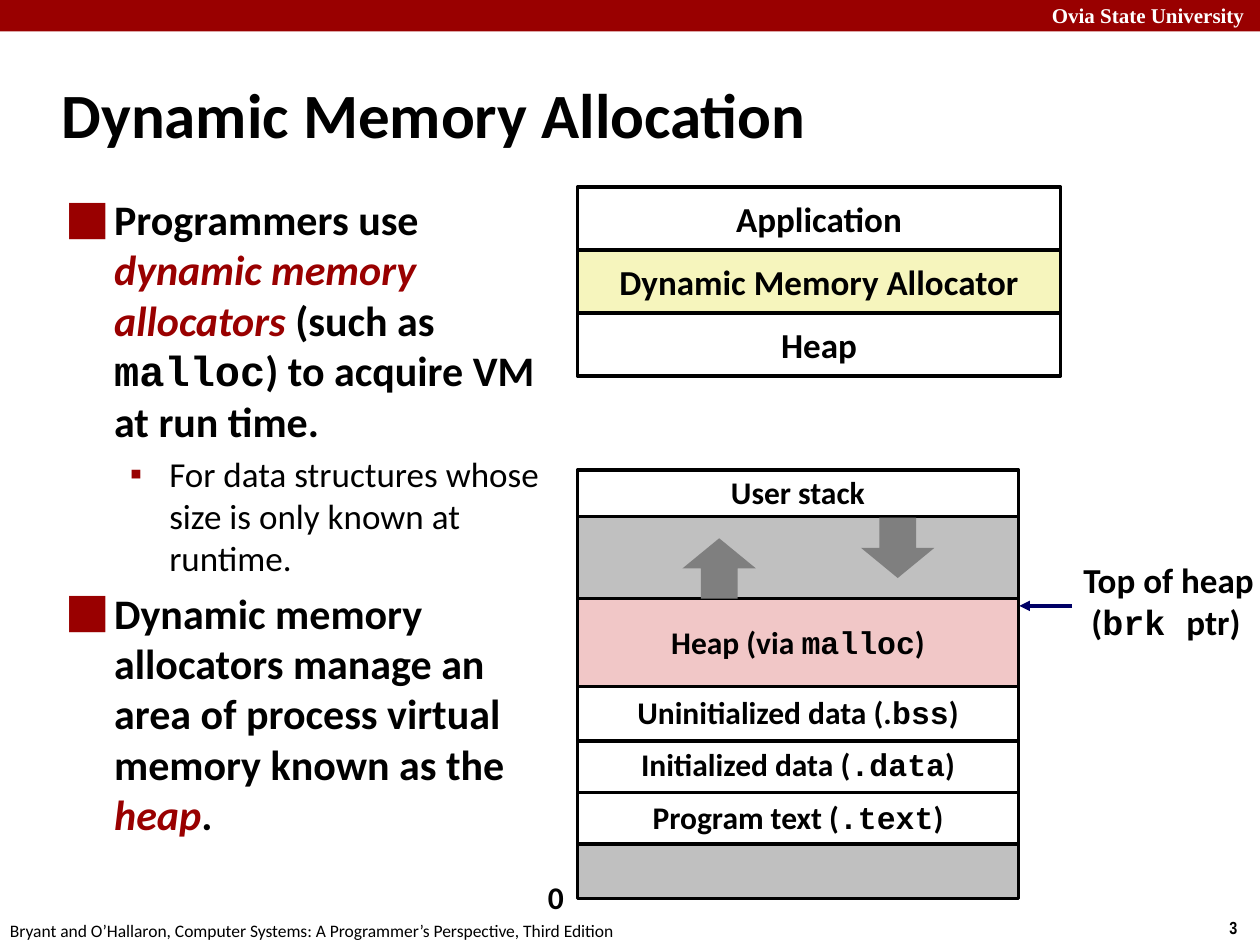
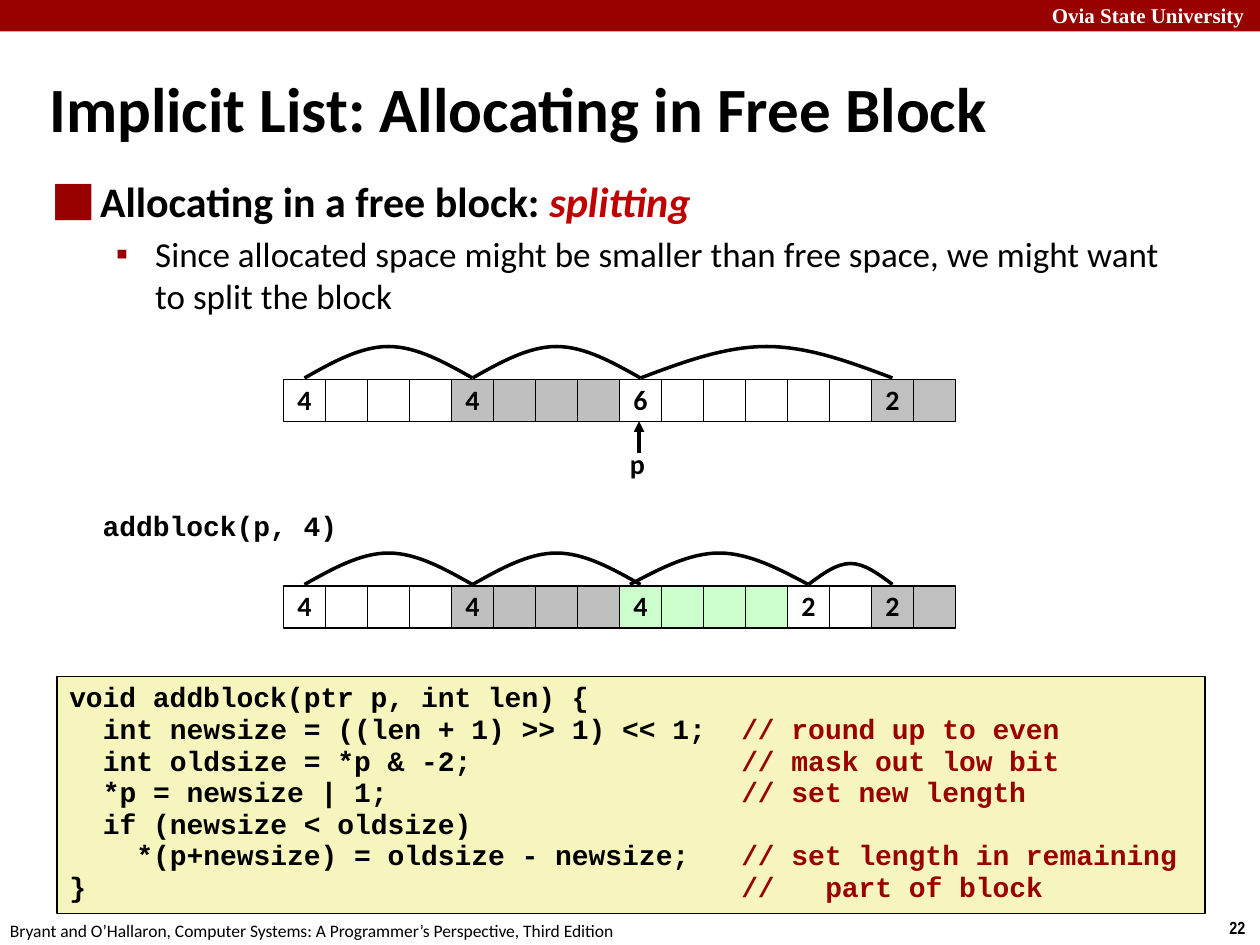
from dataclasses import dataclass

from lxml import etree
from pptx import Presentation
from pptx.dml.color import RGBColor
from pptx.enum.shapes import MSO_CONNECTOR, MSO_SHAPE
from pptx.enum.text import MSO_ANCHOR, MSO_AUTO_SIZE, PP_ALIGN
from pptx.oxml.ns import qn
from pptx.util import Pt

RECTANGLE = MSO_SHAPE.RECTANGLE
UP_ARROW, DOWN_ARROW = MSO_SHAPE.UP_ARROW, MSO_SHAPE.DOWN_ARROW
STRAIGHT = MSO_CONNECTOR.STRAIGHT
TOP, MIDDLE = MSO_ANCHOR.TOP, MSO_ANCHOR.MIDDLE
FIT_SHAPE, FIXED = MSO_AUTO_SIZE.SHAPE_TO_FIT_TEXT, MSO_AUTO_SIZE.NONE
LEFT, CENTER = PP_ALIGN.LEFT, PP_ALIGN.CENTER

COLORS = {
    "black": "000000", "white": "FFFFFF", "crimson": "990000", "red": "C00000",
    "silver": "C0C0C0", "gray": "BFBFBF", "arrow": "7F7F7F", "navy": "000066",
    "pink": "F1C7C7", "cream": "F6F5BD", "green": "CCFFCC",
}
SANS, MONO, SERIF, NARROW = "Calibri", "Courier New", "Times New Roman", "Arial Narrow"
SOURCE = "Bryant and O’Hallaron, Computer Systems: A Programmer’s Perspective, Third Edition"

CELL = 24
ROW_LEFT = 162
CODE_SIZE = 16
CODE_CHAR = 0.6 * CODE_SIZE


@dataclass
class Span:
    text: str
    font: str = SANS
    color: str = "black"
    italic: bool = False


@dataclass
class Bullet:
    spans: list[Span]
    level: int = 0
    space_before: float = 0


@dataclass
class BulletStyle:
    size: float
    bold: bool
    margin: float
    hanging: float
    mark: str


@dataclass
class Region:
    spans: list[Span]
    top: float
    height: float
    fill: str = "white"


@dataclass
class Block:
    size: int
    fill: str
    arc_shift: float = 0


@dataclass
class CodeLine:
    code: str
    comment: str = ""
    depth: int = 0
    comment_indent: int = 0


BULLET_STYLES = [BulletStyle(24, True, 27, 27, "⬛"), BulletStyle(20, False, 58.5, 22.5, "▪")]

REGIONS = [
    Region([], 293.8, 48.2, "silver"),
    Region([Span("Heap (via "), Span("malloc", MONO), Span(")")], 342, 51.8, "pink"),
    Region([Span("Program text ("), Span(".text", MONO), Span(")")], 452.2, 31),
    Region([Span("Initialized data ("), Span(".data", MONO), Span(")")], 422, 31),
    Region([Span("Uninitialized data (."), Span("bss", MONO), Span(")")], 392.4, 31),
    Region([Span("User stack")], 268.5, 26.6),
    Region([], 482.4, 31, "silver"),
]

CODE = [
    CodeLine("void addblock(ptr p, int len) {"),
    CodeLine("int newsize = ((len + 1) >> 1) << 1;", "round up to even", 1),
    CodeLine("int oldsize = *p & -2;", "mask out low bit", 1),
    CodeLine("*p = newsize | 1;", "set new length", 1),
    CodeLine("if (newsize < oldsize)", depth=1),
    CodeLine("*(p+newsize) = oldsize - newsize;", "set length in remaining", 2),
    CodeLine("}", "part of block", comment_indent=5),
]


def rgb(name: str) -> RGBColor:
    return RGBColor.from_string(COLORS[name])


def set_attributes(target, values: dict) -> None:
    for name, value in values.items():
        setattr(target, name, value)


def add_spans(para, spans: list[Span], size: float, bold: bool = True) -> None:
    for span in spans:
        run = para.add_run()
        run.text = span.text
        set_attributes(run.font, {"name": span.font, "size": Pt(size),
                                  "bold": bold, "italic": span.italic})
        run.font.color.rgb = rgb(span.color)


def add_lines(frame, lines: list[list[Span]], size: float, spacing: float = 1,
              align=LEFT, bold: bool = True) -> None:
    for index, spans in enumerate(lines):
        para = frame.add_paragraph() if index else frame.paragraphs[0]
        set_attributes(para, {"alignment": align, "line_spacing": spacing})
        add_spans(para, spans, size, bold)


def add_label(page, at: tuple, lines: list[list[Span]], size: float,
              spacing: float = 0.98, bold: bool = True) -> None:
    frame = page.shapes.add_textbox(*map(Pt, at)).text_frame
    set_attributes(frame, {"word_wrap": False, "auto_size": FIT_SHAPE})
    add_lines(frame, lines, size, spacing, bold=bold)


def add_box(page, at: tuple, fill: str, line: float = 0, kind=RECTANGLE):
    box = page.shapes.add_shape(kind, *map(Pt, at))
    box.shadow.inherit = False
    box.fill.solid()
    box.fill.fore_color.rgb = rgb(fill)
    if line:
        box.line.color.rgb = rgb("black")
        box.line.width = Pt(line)
    else:
        box.line.fill.background()
    return box


def add_text_box(page, at: tuple, fill: str, line: float, spans: list[Span],
                 size: float, spacing: float = 0.98) -> None:
    box = add_box(page, at, fill, line)
    if spans:
        set_attributes(box.text_frame, {"word_wrap": True, "vertical_anchor": MIDDLE})
        add_lines(box.text_frame, [spans], size, spacing, CENTER)


def add_arrow(page, start: tuple, end: tuple, color: str) -> None:
    arrow = page.shapes.add_connector(STRAIGHT, *map(Pt, start + end))
    arrow.line.color.rgb = rgb(color)
    arrow.line.width = Pt(2)
    properties = arrow.element.spPr
    etree.SubElement(properties.find(qn("a:ln")), qn("a:tailEnd"), type="triangle")
    etree.SubElement(properties, qn("a:effectLst"))


def add_arc(page, left: float, right: float, base: float) -> None:
    """Draw a bell of two Bézier curves from left to right."""
    span = right - left
    height = min(18, span / 4)
    rises = [0.5, 1, 1, 1, 0.5, 0]
    points = [(Pt(left + span * step / 6), Pt(base - height * rise))
              for step, rise in enumerate(rises, 1)]
    builder = page.shapes.build_freeform(Pt(left), Pt(base))
    builder.add_line_segments(points, close=False)
    arc = builder.convert_to_shape()
    arc.shadow.inherit = False
    arc.fill.background()
    arc.line.color.rgb = rgb("black")
    arc.line.width = Pt(2)
    path = next(arc.element.iter(qn("a:path")))
    segments = path.findall(qn("a:lnTo"))
    for first in (0, 3):
        curve = etree.SubElement(path, qn("a:cubicBezTo"))
        for segment in segments[first:first + 3]:
            curve.append(segment[0])
            path.remove(segment)


def add_block_row(page, top: float, arc_base: float, blocks: list[Block]) -> None:
    left = ROW_LEFT
    for index, block in enumerate(blocks):
        for cell in range(block.size):
            spans = [] if cell else [Span(str(block.size))]
            add_text_box(page, (left + cell * CELL, top, CELL, CELL),
                         block.fill, 0.75, spans, 16)
        header = left + CELL / 2
        left += block.size * CELL
        if index < len(blocks) - 1:
            add_arc(page, header + block.arc_shift, left + CELL / 2, arc_base)


def add_code(page, at: tuple, lines: list[CodeLine]) -> None:
    """Draw a listing whose indents and comments sit on tab stops."""
    frame = add_box(page, at, "cream", 1).text_frame
    set_attributes(frame, {"word_wrap": True, "vertical_anchor": TOP})
    texts = []
    for line in lines:
        spans = [Span(("\t" if line.depth else "") + line.code, MONO)]
        if line.comment:
            gap = "\t" if line.comment_indent else " "
            spans.append(Span(f"\t//{gap}{line.comment}", MONO, "crimson"))
        texts.append(spans)
    add_lines(frame, texts, CODE_SIZE, 0.94)
    for para, line in zip(frame.paragraphs, lines):
        columns = [2 * line.depth, 40, 40 + line.comment_indent]
        tabs = etree.SubElement(para._p.get_or_add_pPr(), qn("a:tabLst"))
        for column in sorted(set(columns) - {0}):
            etree.SubElement(tabs, qn("a:tab"), pos=str(Pt(column * CODE_CHAR)), algn="l")


def set_indent(para, margin: float, hanging: float):
    properties = para._p.get_or_add_pPr()
    properties.set("marL", str(Pt(margin)))
    properties.set("indent", str(Pt(-hanging)))
    return properties


def place(holder, at: tuple, anchor) -> None:
    set_attributes(holder, dict(zip(("left", "top", "width", "height"), map(Pt, at))))
    set_attributes(holder.text_frame, {"word_wrap": True, "auto_size": FIXED,
                                       "vertical_anchor": anchor})


def fill_body(holder, at: tuple, bullets: list[Bullet]) -> None:
    place(holder, at, TOP)
    frame = holder.text_frame
    for index, bullet in enumerate(bullets):
        style = BULLET_STYLES[bullet.level]
        para = frame.add_paragraph() if index else frame.paragraphs[0]
        set_attributes(para, {"level": bullet.level, "alignment": LEFT,
                              "line_spacing": 1.0, "space_before": Pt(bullet.space_before)})
        properties = set_indent(para, style.margin, style.hanging)
        color = etree.SubElement(properties, qn("a:buClr"))
        etree.SubElement(color, qn("a:srgbClr"), val=COLORS["crimson"])
        etree.SubElement(properties, qn("a:buChar"), char=style.mark)
        add_spans(para, bullet.spans, style.size, style.bold)


def start_page(deck, number: int, title: str, title_at: tuple,
               body_at: tuple, bullets: list[Bullet]):
    """Add a page with its band, footers, title and bullet list."""
    page = deck.slides.add_slide(deck.slide_layouts[1])
    add_box(page, (0, 0, 720, 18), "crimson")
    add_label(page, (594, -2, 131, 21.6), [[Span("Ovia State University", SERIF, "white")]], 12, 1)
    add_label(page, (695.5, 520.6, 24.5, 19.4), [[Span(str(number), NARROW)]], 10, 1)
    add_label(page, (-1.4, 522, 365.8, 19.4), [[Span(SOURCE)]], 10, 1, bold=False)
    heading = page.shapes.title
    place(heading, title_at, MIDDLE)
    add_lines(heading.text_frame, [[Span(title)]], 36)
    set_indent(heading.text_frame.paragraphs[0], 9, 9)
    fill_body(page.placeholders[1], body_at, bullets)
    return page


def build_allocation_page(deck) -> None:
    page = start_page(
        deck, 3, "Dynamic Memory Allocation", (28, 34.5, 598, 60), (31, 107, 298, 392), [
            Bullet([Span("Programmers use "),
                    Span("dynamic memory allocators ", color="crimson", italic=True),
                    Span("(such as "), Span("malloc", MONO),
                    Span(") to acquire VM at run time.")]),
            Bullet([Span("For data structures whose size is only known at runtime.")], 1, 4),
            Bullet([Span("Dynamic memory allocators manage an area of process virtual "
                         "memory known as the "),
                    Span("heap", color="crimson", italic=True), Span(".")], 0, 4.8)])
    stack_left = 330
    for region in REGIONS:
        add_text_box(page, (stack_left, region.top, 252, region.height),
                     region.fill, 2, region.spans, 18)
    add_label(page, (306, 499, 24, 28.6), [[Span("0")]], 18)
    add_label(page, (612, 317, 112, 54.6),
              [[Span("Top of heap")], [Span(" ("), Span("brk ", MONO), Span("ptr)")]], 20)
    add_arrow(page, (612.7, 346.2), (582.5, 346.2), "navy")
    add_box(page, (492, 295.8, 42, 34.5), "arrow", kind=DOWN_ARROW)
    add_box(page, (390, 307.6, 42, 34.5), "arrow", kind=UP_ARROW)
    layers = [("Application", "white"), ("Dynamic Memory Allocator", "cream"), ("Heap", "white")]
    for index, (name, fill) in enumerate(layers):
        add_text_box(page, (stack_left, 107 + 36 * index, 276, 36), fill, 2, [Span(name)], 20, 1)


def build_splitting_page(deck) -> None:
    page = start_page(
        deck, 22, "Implicit List: Allocating in Free Block",
        (21, 39, 678, 45), (23, 96.5, 654.5, 411), [
            Bullet([Span("Allocating in a free block: "),
                    Span("splitting", color="red", italic=True)]),
            Bullet([Span("Since allocated space might be smaller than free space, "
                         "we might want to split the block")], 1, 4)])
    add_code(page, (32.5, 386.6, 656, 135.4), CODE)
    used, last = [Block(4, "white"), Block(4, "gray")], Block(2, "silver")
    add_block_row(page, 216.7, 216, used + [Block(6, "white"), last])
    add_block_row(page, 334.8, 334, used + [Block(4, "green", -6), Block(2, "white"), last])
    add_arrow(page, (365.2, 258.7), (365.2, 240.7), "black")
    add_label(page, (352.8, 252.7, 23, 26.6), [[Span("p")]], 16)
    add_label(page, (51.6, 290.2, 148.8, 23.8), [[Span("addblock(p, 4)", MONO)]], 16, 0.85)


def main() -> None:
    deck = Presentation()
    set_attributes(deck, {"slide_width": Pt(720), "slide_height": Pt(540)})
    build_allocation_page(deck)
    build_splitting_page(deck)
    deck.save("out.pptx")


if __name__ == "__main__":
    main()
